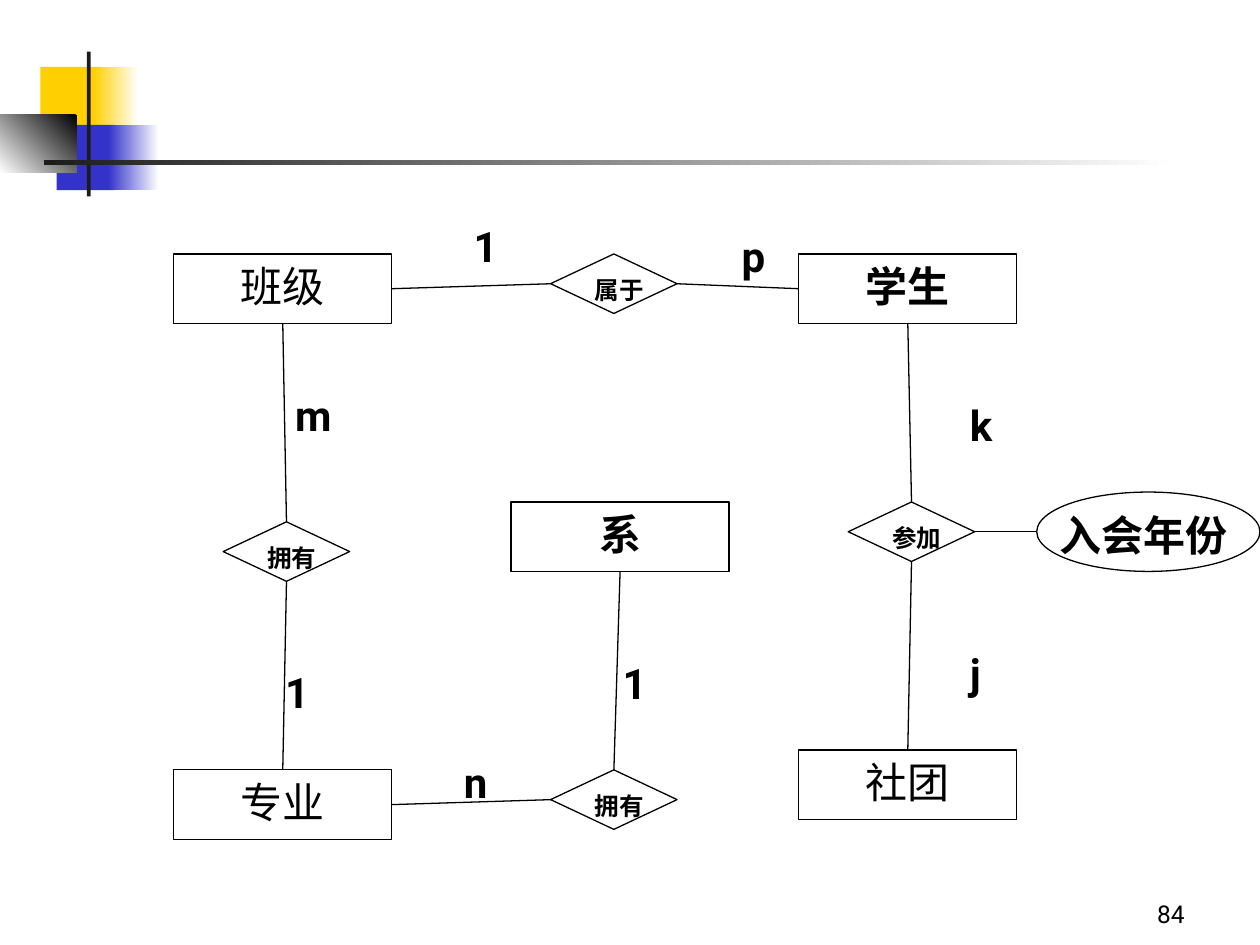
from lxml.etree import SubElement
from pptx import Presentation
from pptx.dml.color import RGBColor
from pptx.enum.shapes import MSO_CONNECTOR, MSO_SHAPE
from pptx.enum.text import MSO_ANCHOR, PP_ALIGN
from pptx.oxml.ns import qn
from pptx.util import Inches, Pt

BLACK = RGBColor(0x00, 0x00, 0x00)
WHITE = RGBColor(0xFF, 0xFF, 0xFF)
YELLOW = RGBColor(0xFF, 0xCF, 0x01)
BLUE = RGBColor(0x33, 0x33, 0xCC)
CHARCOAL = RGBColor(0x1C, 0x1C, 0x1C)
FONT = "Roboto"

presentation = Presentation()
presentation.slide_width = Inches(10)
presentation.slide_height = Inches(7.5)
slide = presentation.slides.add_slide(presentation.slide_layouts[6])
shapes = slide.shapes

PERCENT = presentation.slide_width / 100
CELL = presentation.slide_width / 127  # square cell of the diagram grid
ORIGIN_X, ORIGIN_Y = 0.5, 0.6  # grid origin, in cells
TOP, LEFT, BOTTOM, RIGHT = range(4)  # connection sites


def cell_box(column, row, columns, rows):
    return [round(n * CELL) for n in (column + ORIGIN_X, row + ORIGIN_Y, columns, rows)]


def write(shape, text, size, bold, align):
    text_frame = shape.text_frame
    text_frame.word_wrap = False
    text_frame.vertical_anchor = MSO_ANCHOR.TOP
    text_frame.text = text
    paragraph = text_frame.paragraphs[0]
    paragraph.alignment = align
    font = paragraph.runs[0].font
    font.name, font.size, font.bold = FONT, Pt(size), bold
    font.color.rgb = BLACK


# Corner decoration, in hundredths of the slide width:
# box, then first colour, last colour and angle
decorations = [
    ((3.2, 5.3, 4.8, 5.2), YELLOW, None, 0),
    ((7.4, 5.3, 3.6, 5.2), WHITE, YELLOW, 180),
    ((4.5, 9.9, 4.6, 5.2), BLUE, None, 0),
    ((8.6, 9.9, 4, 5.2), WHITE, BLUE, 180),
    ((0, 9.1, 6.1, 4.6), BLACK, WHITE, 225),
    ((6.9, 4.1, 0.3, 11.5), CHARCOAL, None, 0),
    ((3.5, 12.7, 90, 0.4), WHITE, CHARCOAL, 180),
]
for box, first, last, angle in decorations:
    block = shapes.add_shape(MSO_SHAPE.RECTANGLE, *[round(n * PERCENT) for n in box])
    block.shadow.inherit = False
    block.line.fill.background()
    if last is None:
        block.fill.solid()
        block.fill.fore_color.rgb = first
        continue
    block.fill.gradient()
    block.fill.gradient_angle = angle
    for stop, color, position in zip(block.fill.gradient_stops, (first, last), (0, 1)):
        stop.color.rgb = color
        stop.position = position

# Entities, relationships and the attribute
ENTITY = (MSO_SHAPE.RECTANGLE, 22, 7, 24, PP_ALIGN.CENTER)
RELATION = (MSO_SHAPE.DIAMOND, 12.75, 6, 14, PP_ALIGN.LEFT)
ATTRIBUTE = (MSO_SHAPE.OVAL, 22.5, 8, 24, PP_ALIGN.CENTER)
nodes = {}
for name, style, text, column, row, bold in [
    ("student", ENTITY, "学生", 80, 25, True),
    ("department", ENTITY, "系", 51, 50, True),
    ("major", ENTITY, "专业", 17, 77, False),
    ("club", ENTITY, "社团", 80, 75, False),
    ("class", ENTITY, "班级", 17, 25, False),
    ("department has", RELATION, "拥有", 55, 77, True),
    ("major has", RELATION, "拥有", 22, 52, True),
    ("belongs to", RELATION, "属于", 55, 25, True),
    ("joins", RELATION, "参加", 85, 50, True),
    ("joining year", ATTRIBUTE, "入会年份 ", 104, 49, True),
]:
    geometry, columns, rows, size, align = style
    node = shapes.add_shape(geometry, *cell_box(column, row, columns, rows))
    node.shadow.inherit = False
    node.fill.solid()
    node.fill.fore_color.rgb = WHITE
    node.line.color.rgb = BLACK
    node.line.width = Pt(0.75)
    write(node, text, size, bold, align)
    nodes[name] = node

# Lines between the nodes; the attribute's line ends at the oval's left edge
for start, start_site, end, end_site in [
    ("department", BOTTOM, "department has", TOP),
    ("department has", LEFT, "major", RIGHT),
    ("class", BOTTOM, "major has", TOP),
    ("major has", BOTTOM, "major", TOP),
    ("class", RIGHT, "belongs to", LEFT),
    ("belongs to", RIGHT, "student", LEFT),
    ("student", BOTTOM, "joins", TOP),
    ("joins", BOTTOM, "club", TOP),
    ("joins", RIGHT, "joining year", None),
]:
    target = nodes[end]
    line = shapes.add_connector(
        MSO_CONNECTOR.STRAIGHT, 0, 0, target.left, target.top + target.height // 2
    )
    line.begin_connect(nodes[start], start_site)
    if end_site is not None:
        line.end_connect(target, end_site)
    line.line.color.rgb = BLACK
    line.line.width = Pt(0.75)
    SubElement(line._element.spPr, qn("a:effectLst"))

# Cardinalities
for text, column, row in [
    ("1", 46, 21), ("1", 27, 66), ("1", 61, 65), ("n", 45, 75),
    ("m", 28, 38), ("p", 73, 22), ("k", 96, 39), ("j", 96, 64),
]:
    label = shapes.add_textbox(*cell_box(column, row, 6, 6))
    write(label, text, 24, True, PP_ALIGN.LEFT)

# Slide number
number = shapes.add_textbox(*[round(n * PERCENT) for n in (74.2, 69.2, 20.8, 5)])
write(number, "84", 14, False, PP_ALIGN.RIGHT)
number.text_frame.word_wrap = True
number.text_frame.vertical_anchor = MSO_ANCHOR.BOTTOM

presentation.save("out.pptx")
